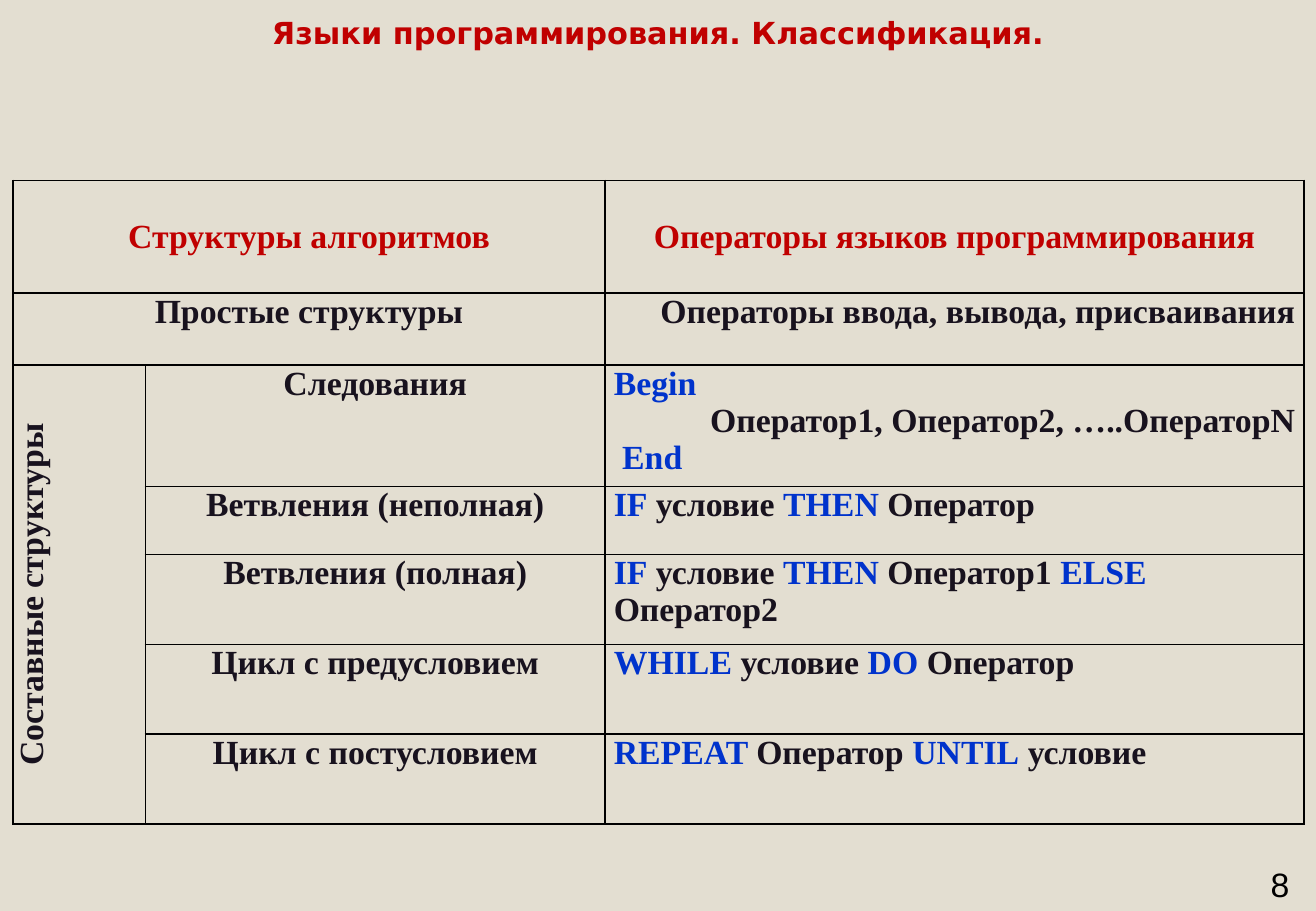
from pptx import Presentation
from pptx.dml.color import RGBColor
from pptx.enum.text import MSO_ANCHOR, PP_ALIGN
from pptx.oxml import parse_xml
from pptx.oxml.ns import nsdecls
from pptx.util import Cm, Pt

LEFT, CENTER, RIGHT = PP_ALIGN.LEFT, PP_ALIGN.CENTER, PP_ALIGN.RIGHT
TOP, MIDDLE, BOTTOM = MSO_ANCHOR.TOP, MSO_ANCHOR.MIDDLE, MSO_ANCHOR.BOTTOM
RED, DARK, BLUE, BLACK, SAND = "C00000", "18121E", "0033CC", "000000", "E3DED1"
SERIF = "Times New Roman"

TITLE = "Языки программирования. Классификация."
PAGE_NUMBER = "8"
HEADINGS = ("Структуры алгоритмов", "Операторы языков программирования")
SIMPLE = ("Простые структуры", "Операторы ввода, вывода, присваивания")
COMPOUND = "Составные структуры"
STRUCTURES = [
    ("Следования", [
        (LEFT, [("Begin", BLUE)]),
        (RIGHT, [("Оператор1, Оператор2, …..ОператорN", DARK)]),
        (LEFT, [(" ", DARK), ("End", BLUE)]),
    ]),
    ("Ветвления (неполная)", [
        (LEFT, [("IF", BLUE), (" условие ", DARK), ("THEN ", BLUE), ("Оператор", DARK)]),
    ]),
    ("Ветвления (полная)", [
        (LEFT, [("IF", BLUE), (" условие ", DARK), ("THEN", BLUE),
                (" Оператор1 ", DARK), ("ELSE ", BLUE), ("Оператор2", DARK)]),
    ]),
    ("Цикл с предусловием", [
        (LEFT, [("WHILE", BLUE), (" условие ", DARK), ("DO", BLUE), (" Оператор", DARK)]),
    ]),
    ("Цикл с постусловием", [
        (LEFT, [("REPEAT ", BLUE), ("Оператор ", DARK), ("UNTIL", BLUE), (" условие", DARK)]),
    ]),
]
COLUMN_WIDTHS = (2.77, 9.61, 14.61)
ROW_HEIGHTS = (2.36, 1.5, 2.34, 1.42, 1.88, 1.88, 1.88)


def rgb(value):
    return RGBColor.from_string(value)


def write(frame, lines, font=SERIF, size=20, bold=True):
    for index, (align, runs) in enumerate(lines):
        line = frame.add_paragraph() if index else frame.paragraphs[0]
        line.alignment = align
        for words, color in runs:
            run = line.add_run()
            run.text = words
            run.font.name = font
            run.font.size = Pt(size)
            run.font.bold = bold
            run.font.color.rgb = rgb(color)


def centered(words, color=DARK):
    return [(CENTER, [(words, color)])]


def add_label(left, top, width, height, anchor, lines, **style):
    frame = slide.shapes.add_textbox(Cm(left), Cm(top), Cm(width), Cm(height)).text_frame
    frame.word_wrap = True
    frame.vertical_anchor = anchor
    write(frame, lines, **style)


def format_cell(cell):
    cell.margin_left = cell.margin_right = Cm(0.18)
    cell.margin_top = cell.margin_bottom = 0
    properties = cell._tc.get_or_add_tcPr()
    for side in ("lnL", "lnR", "lnT", "lnB"):
        properties.append(parse_xml(
            f'<a:{side} {nsdecls("a")} w="{Pt(1)}"><a:solidFill>'
            f'<a:srgbClr val="{BLACK}"/></a:solidFill></a:{side}>'))
    cell.fill.background()


deck = Presentation()
deck.slide_width, deck.slide_height = Cm(27.51), Cm(19.05)
slide = deck.slides.add_slide(deck.slide_layouts[6])
slide.background.fill.solid()
slide.background.fill.fore_color.rgb = rgb(SAND)

add_label(0, 0, 27.51, 1.19, BOTTOM, centered(TITLE, RED), font="DejaVu Sans", size=18)

table = slide.shapes.add_table(
    len(ROW_HEIGHTS), len(COLUMN_WIDTHS), Cm(0.27), Cm(3.77),
    Cm(sum(COLUMN_WIDTHS)), Cm(sum(ROW_HEIGHTS))).table
table.first_row = table.horz_banding = False
for column, width in zip(table.columns, COLUMN_WIDTHS):
    column.width = Cm(width)
for row, height in zip(table.rows, ROW_HEIGHTS):
    row.height = Cm(height)
for cell in table.iter_cells():
    format_cell(cell)

for row in (0, 1):
    table.cell(row, 0).merge(table.cell(row, 1))
table.cell(2, 0).merge(table.cell(len(ROW_HEIGHTS) - 1, 0))

for column, heading in zip((0, 2), HEADINGS):
    cell = table.cell(0, column)
    cell.vertical_anchor = MIDDLE
    write(cell.text_frame, centered(heading, RED))
    cell.text_frame.paragraphs[0].space_before = Pt(12)
    cell.text_frame.paragraphs[0].space_after = Pt(3)

write(table.cell(1, 0).text_frame, centered(SIMPLE[0]))
write(table.cell(1, 2).text_frame, [(RIGHT, [(SIMPLE[1], DARK)])])

compound = table.cell(2, 0)
compound.vertical_anchor = MIDDLE
compound._tc.get_or_add_tcPr().set("vert", "vert270")
write(compound.text_frame, centered(COMPOUND))

for row, (structure, operators) in enumerate(STRUCTURES, start=2):
    write(table.cell(row, 1).text_frame, centered(structure))
    write(table.cell(row, 2).text_frame, operators)

add_label(26.31, 17.93, 1.2, 1.12, TOP, [(LEFT, [(PAGE_NUMBER, BLACK)])],
          font="Arial", bold=False)

deck.save("out.pptx")
